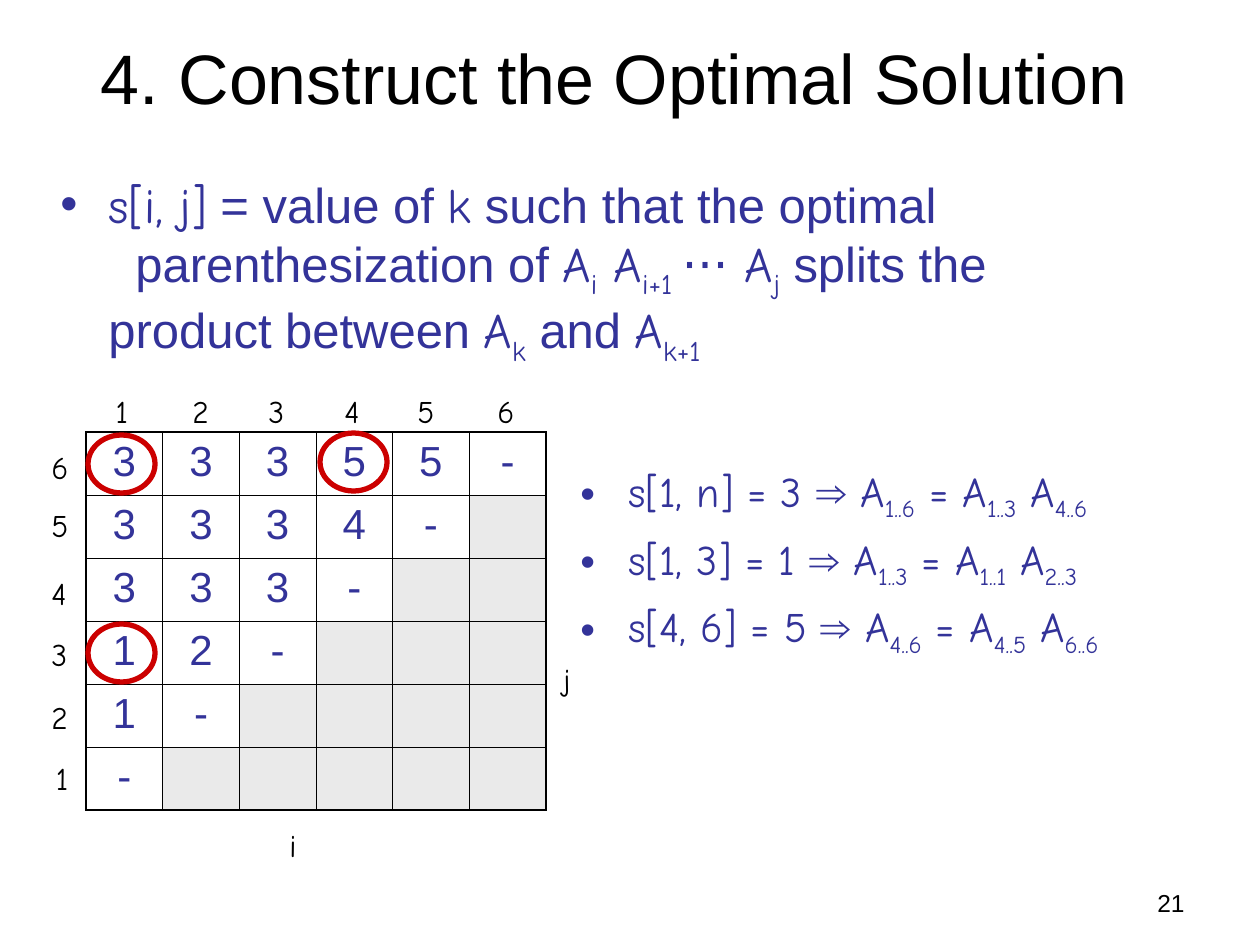
from lxml.etree import SubElement
from pptx import Presentation
from pptx.dml.color import RGBColor
from pptx.enum.shapes import MSO_SHAPE
from pptx.enum.text import MSO_ANCHOR, MSO_AUTO_SIZE, PP_ALIGN
from pptx.oxml import parse_xml
from pptx.oxml.ns import qn
from pptx.util import Pt

PX = 7257.14  # EMU per px, at 126 px to the inch
INK = {"black": "000000", "blue": "333399", "red": "CC0000", "gray": "EAEAEA"}
SANS, HAND = "Arial", "Comic Neue"
SUB = "sub"  # hand font, lowered

TITLE = "4. Construct the Optimal Solution"
# Each line: left margin and first indent in px, then runs
RULE = [
    (48, -48, [("s[i, j]", HAND), (" = value of ", SANS), ("k", HAND),
               (" such that the optimal", SANS)]),
    (75, 0, [("parenthesization of ", SANS), ("A", HAND), ("i", SUB),
             (" A", HAND), ("i+1 ", SUB), ("⋅⋅⋅", SANS), (" A", HAND),
             ("j", SUB), (" splits the", SANS)]),
    (48, 0, [("product between ", SANS), ("A", HAND), ("k", SUB),
             (" and ", SANS), ("A", HAND), ("k+1", SUB)]),
]
STEPS = [
    ("s[1, n] = 3 ", "1..6", "1..3", "4..6"),
    ("s[1, 3] = 1 ", "1..3", "1..1", "2..3"),
    ("s[4, 6] = 5 ", "4..6", "4..5", "6..6"),
]
SPLITS = ["33355-", "3334-", "333-", "12-", "1-", "-"]
GRID = (86, 432, 460, 378)
# Label, centre x, top y
COLS = [("1", 122, 386), ("2", 200, 386), ("3", 276, 386),
        ("4", 352, 386), ("5", 425, 386), ("6", 505, 386)]
ROWS = [("6", 59, 442), ("5", 59, 500), ("4", 59, 568),
        ("3", 59, 629), ("2", 59, 692), ("1", 62, 753)]
AXES = [("i", 293, 820), ("j", 567, 654)]
RINGS = [(88, 435), (320, 433), (88, 624)]


def px(*nums):
    return [round(n * PX) for n in nums]


def rgb(name):
    return RGBColor.from_string(INK[name])


def add_run(para, text, kind, size, ink):
    run = para.add_run()
    run.text = text
    run.font.name = HAND if kind == SUB else kind
    run.font.size = Pt(size)
    run.font.color.rgb = rgb(ink)
    if kind == SUB:
        run.font._element.set("baseline", "-25000")


def add_box(slide, *place, wrap=True):
    frame = slide.shapes.add_textbox(*px(*place)).text_frame
    frame.word_wrap = wrap
    return frame


def add_lines(frame, lines, size, gap):
    """Fill a frame; a line with a hanging indent gets a bullet."""
    for n, (left, hang, runs) in enumerate(lines):
        para = frame.paragraphs[0] if n == 0 else frame.add_paragraph()
        props = para._p.get_or_add_pPr()
        left, inset = px(left, hang)
        props.set("marL", str(left))
        props.set("indent", str(inset))
        para.space_before = Pt(gap if hang else 0)
        if hang:
            tint = SubElement(props, qn("a:buClr"))
            SubElement(tint, qn("a:srgbClr"), val=INK["blue"])
            SubElement(props, qn("a:buFont"), typeface=SANS)
            SubElement(props, qn("a:buChar"), char="•")
        for text, kind in runs:
            add_run(para, text, kind, size, "blue")


def add_edges(cell, thick):
    """Draw the four cell borders; sides named in thick are heavier."""
    props = cell._tc.get_or_add_tcPr()
    for n, side in enumerate("LRTB"):
        width = Pt(1.08 if side in thick else 0.45)
        props.insert(n, parse_xml(
            f'<a:ln{side} w="{width}" '
            'xmlns:a="http://schemas.openxmlformats.org/drawingml/2006/main">'
            f'<a:solidFill><a:srgbClr val="{INK["black"]}"/></a:solidFill>'
            f'</a:ln{side}>'))


def add_grid(slide):
    size = len(SPLITS)
    table = slide.shapes.add_table(size, size, *px(*GRID)).table
    table.first_row = table.horz_banding = False
    for r, marks in enumerate(SPLITS):
        for c in range(size):
            cell = table.cell(r, c)
            if c < len(marks):
                cell.fill.background()
                para = cell.text_frame.paragraphs[0]
                para.alignment = PP_ALIGN.CENTER
                add_run(para, marks[c], SANS, 24, "blue")
            else:
                cell.fill.solid()
                cell.fill.fore_color.rgb = rgb("gray")
            ends = {"L": c == 0, "R": c == size - 1,
                    "T": r == 0, "B": r == size - 1}
            add_edges(cell, [side for side in ends if ends[side]])


def main():
    deck = Presentation()
    deck.slide_width, deck.slide_height = px(1260, 945)
    slide = deck.slides.add_slide(deck.slide_layouts[5])

    title = slide.shapes.title
    title.left, title.top, title.width, title.height = px(47, 14, 1134, 125)
    title.text_frame.vertical_anchor = MSO_ANCHOR.MIDDLE
    head = title.text_frame.paragraphs[0]
    head.alignment = PP_ALIGN.CENTER
    add_run(head, TITLE, SANS, 40, "black")

    add_lines(add_box(slide, 48, 168, 1134, 208), RULE, 28, 7)
    add_grid(slide)

    for text, mid, top in COLS + ROWS + AXES:
        frame = add_box(slide, mid - 20, top, 40, 50, wrap=False)
        frame.auto_size = MSO_AUTO_SIZE.SHAPE_TO_FIT_TEXT
        para = frame.paragraphs[0]
        para.alignment = PP_ALIGN.CENTER
        add_run(para, text, HAND, 18, "black")

    steps = [(48, -48, [(value, HAND), ("⇒", SANS), (" A", HAND), (whole, SUB),
                        (" = A", HAND), (left, SUB), (" A", HAND), (right, SUB)])
             for value, whole, left, right in STEPS]
    add_lines(add_box(slide, 568, 459, 649, 299), steps, 24, 6)

    for left, top in RINGS:
        ring = slide.shapes.add_shape(MSO_SHAPE.OVAL, *px(left, top, 67, 58))
        ring.shadow.inherit = False
        ring.fill.background()
        ring.line.color.rgb = rgb("red")
        ring.line.width = Pt(3)

    page = add_box(slide, 903, 882, 294, 44).paragraphs[0]
    page.alignment = PP_ALIGN.RIGHT
    add_run(page, "21", SANS, 14, "black")

    deck.save("out.pptx")


if __name__ == "__main__":
    main()
